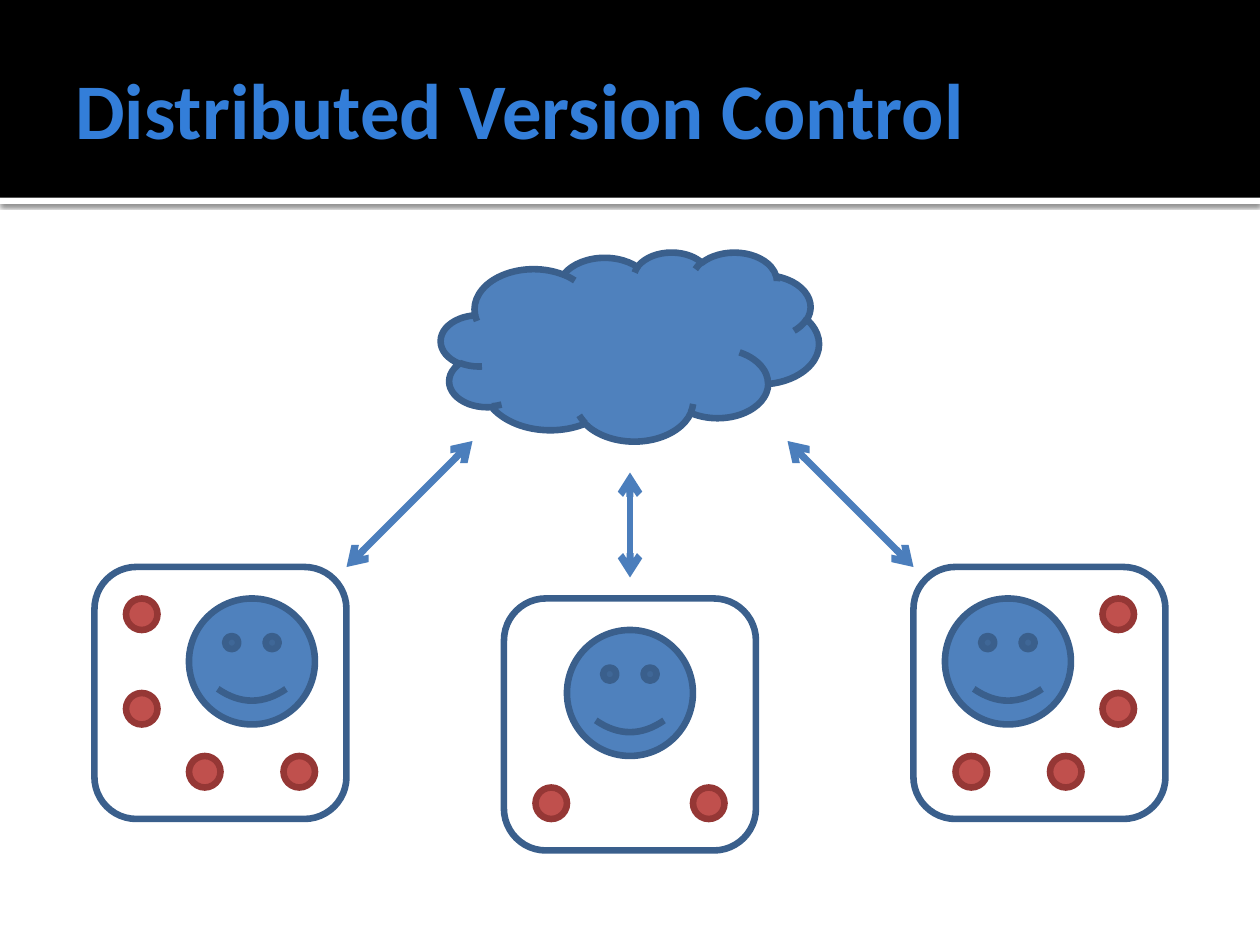
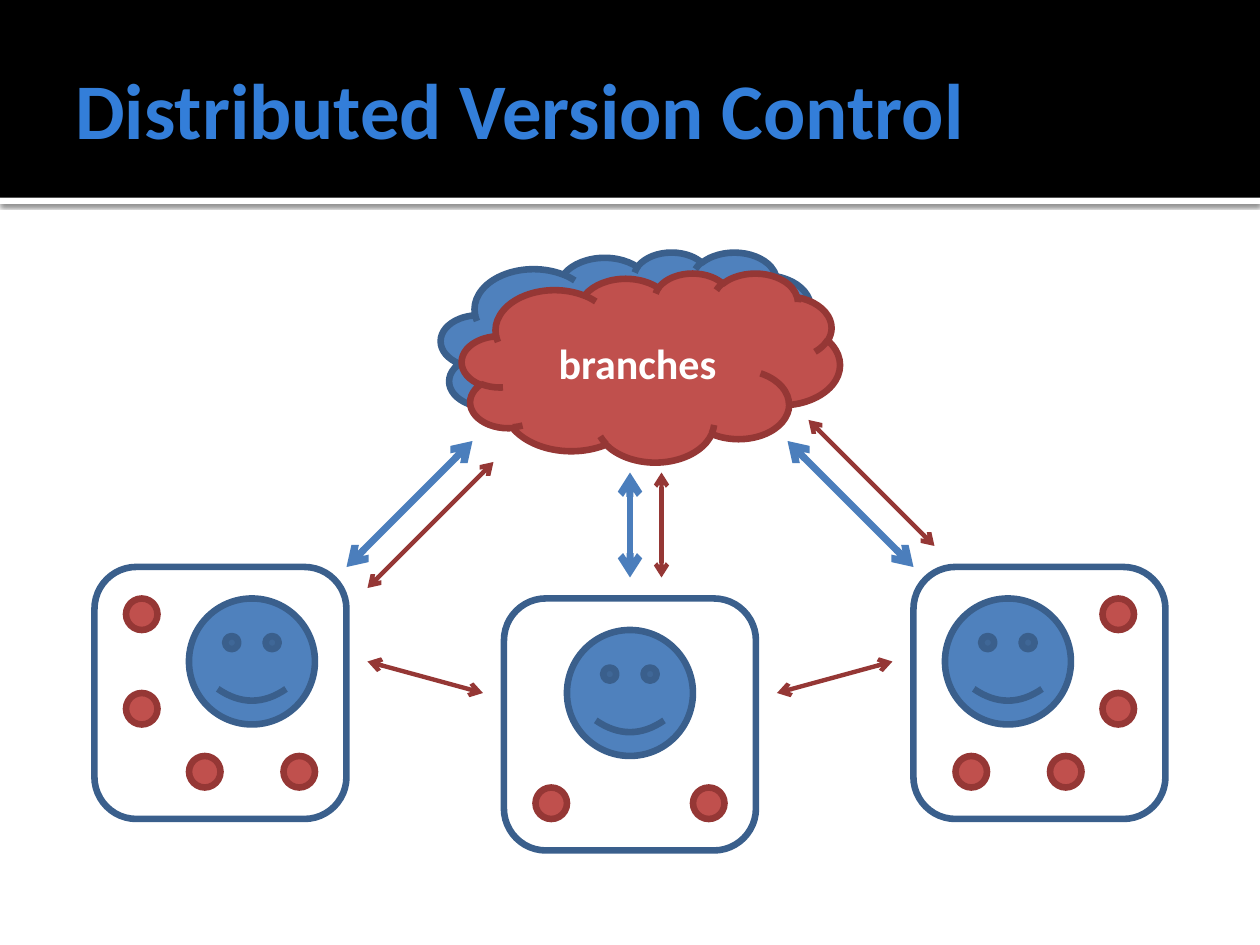
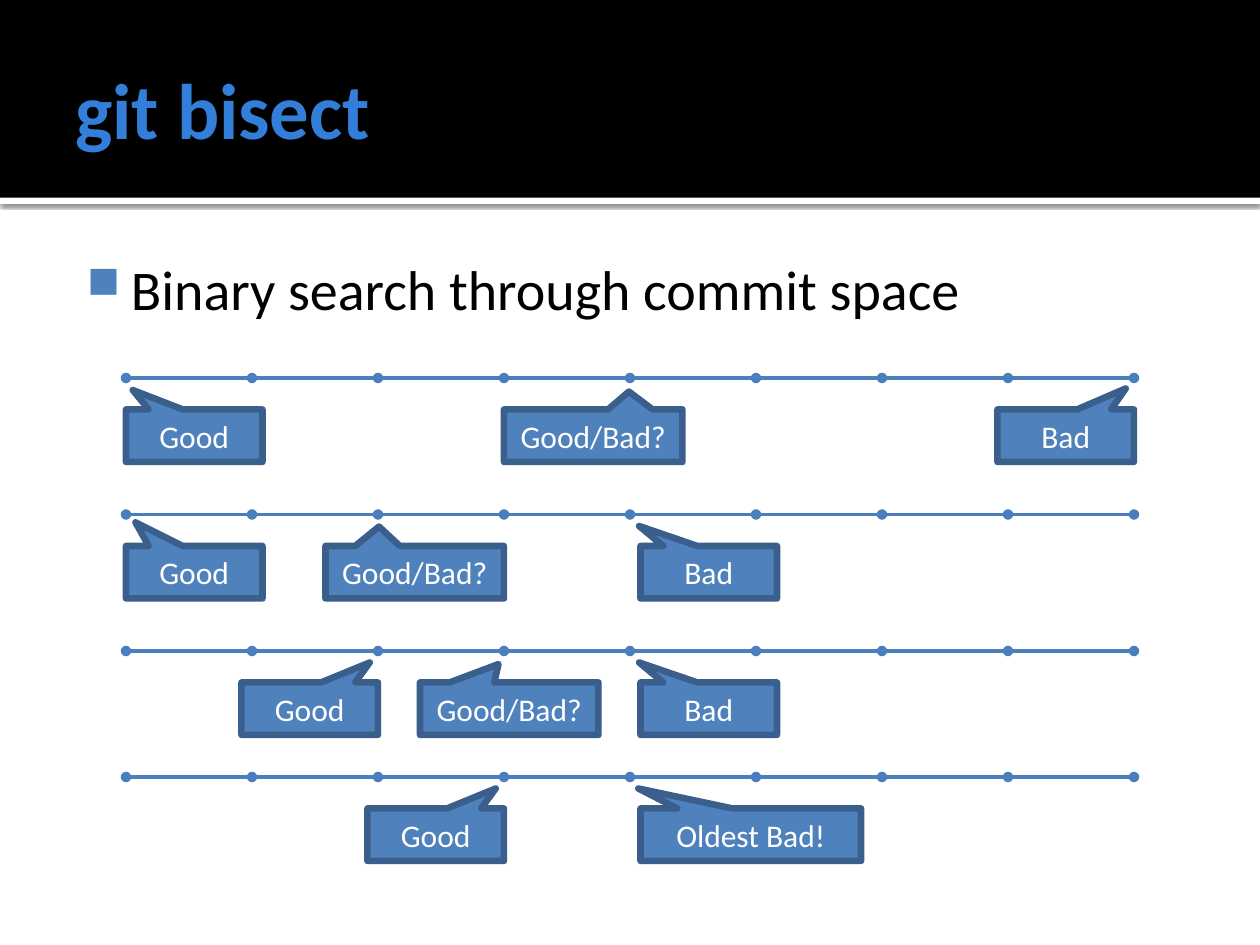
from pptx import Presentation
from pptx.dml.color import RGBColor
from pptx.enum import shapes, text
from pptx.oxml import parse_xml
from pptx.oxml.ns import nsdecls, qn
from pptx.util import Pt
from lxml import etree

FONT = "Calibri"
COLORS = {
    "black": "000000", "white": "FFFFFF", "title": "337ED9",
    "blue": "4F81BD", "blue_edge": "3A5F8C", "blue_line": "4B7EBC",
    "red": "C0504D", "red_edge": "953735",
}
EDGE = 3.78
SHAPE = shapes.MSO_SHAPE

# Each developer: box corner, then face and commits relative to it
DEVELOPERS = [
    {"box": (54, 324), "face": (54, 18),
     "commits": [(18, 18), (18, 72), (54, 108), (108, 108)]},
    {"box": (288, 342), "face": (36, 18),
     "commits": [(108, 108), (18, 108)]},
    {"box": (522, 324), "face": (18, 18),
     "commits": [(108, 18), (108, 72), (24, 108), (78, 108)]},
]
CLOUD = (252, 144)
BRANCH_SHIFT = 12
SERVER_ARROWS = [(198, 324, 270, 252), (522, 324, 450, 252), (360, 330, 360, 270)]
BRANCH_ARROWS = [
    (210, 336, 282, 264), (378, 330, 378, 270), (534, 312, 462, 240),
    (210, 378, 276, 396), (510, 378, 444, 396),
]

COMMIT_GAP, COMMIT_STEPS, FIRST_COMMIT = 72, 8, 72
LABEL_WIDTHS = {"Good": 78, "Bad": 78, "Good/Bad?": 102, "Oldest Bad!": 126}
# Each step: timeline height, then callouts (label, left, pointer x, pointer y)
BISECT_STEPS = [
    (216, [("Good", 72, -0.45, -0.87), ("Bad", 570, 0.44, -0.9),
           ("Good/Bad?", 288, 0.2, -0.84)]),
    (294, [("Good", 72, -0.43, -0.95), ("Bad", 366, -0.51, -0.88),
           ("Good/Bad?", 186, -0.2, -0.87)]),
    (372, [("Good", 138, 0.44, -0.88), ("Good/Bad?", 240, -0.06, -0.85),
           ("Bad", 366, -0.51, -0.88)]),
    (444, [("Good", 210, 0.44, -0.88), ("Oldest Bad!", 366, -0.51, -0.88)]),
]


def rgb(name):
    return RGBColor.from_string(COLORS[name])


def add_shape(s, kind, x, y, w, h, fill=None, edge=None):
    sp = s.shapes.add_shape(kind, Pt(x), Pt(y), Pt(w), Pt(h))
    sp.shadow.inherit = False
    if fill:
        sp.fill.solid()
        sp.fill.fore_color.rgb = rgb(fill)
    else:
        sp.fill.background()
    if edge:
        sp.line.color.rgb = rgb(edge)
        sp.line.width = Pt(EDGE)
    else:
        sp.line.fill.background()
    return sp


def write(sp, words, size, color, bold=False, align=text.PP_ALIGN.CENTER,
          anchor=text.MSO_ANCHOR.MIDDLE, insets=None):
    """Put one paragraph in a shape; insets are left, top, right, bottom."""
    tf = sp.text_frame
    tf.word_wrap = True
    tf.vertical_anchor = anchor
    if insets:
        tf.margin_left, tf.margin_top, tf.margin_right, tf.margin_bottom = map(Pt, insets)
    p = tf.paragraphs[0]
    p.text = words
    p.alignment = align
    p.font.name, p.font.size, p.font.bold = FONT, Pt(size), bold
    p.font.color.rgb = rgb(color)
    return p


def add_line(owner, x1, y1, x2, y2, color, width, head=None, tail=None):
    line = owner.shapes.add_connector(
        shapes.MSO_CONNECTOR.STRAIGHT, Pt(x1), Pt(y1), Pt(x2), Pt(y2))
    line.line.color.rgb = rgb(color)
    line.line.width = Pt(width)
    ln = line.line._get_or_add_ln()
    for tag, end in (("a:headEnd", head), ("a:tailEnd", tail)):
        if end:
            etree.SubElement(ln, qn(tag)).set("type", end)
    etree.SubElement(line._element.spPr, qn("a:effectLst"))


def add_slide(prs, title):
    """Start a slide with the shared title band and its shadowed lower edge."""
    s = prs.slides.add_slide(prs.slide_layouts[6])
    strip = add_shape(s, SHAPE.RECTANGLE, 0, 113, 720, 3.6, "white")
    effects = strip._element.spPr.find(qn("a:effectLst"))
    effects.append(parse_xml(
        f'<a:outerShdw {nsdecls("a")} blurRad="{Pt(2.5)}" dist="{Pt(0.8)}" dir="5400000">'
        f'<a:srgbClr val="{COLORS["black"]}"><a:alpha val="60000"/></a:srgbClr>'
        '</a:outerShdw>'))
    add_shape(s, SHAPE.RECTANGLE, 0, 0, 720, 113, "black")
    box = s.shapes.add_textbox(Pt(36), Pt(12.2), Pt(648), Pt(98.6))
    write(box, title, 45, "title", True, text.PP_ALIGN.LEFT, insets=(7.2, 3.6, 3.6, 3.6))
    return s


def add_cloud(s, x, y, color):
    return add_shape(s, SHAPE.CLOUD, x, y, 216, 108, color, color + "_edge")


def add_arrows(s, arrows, color, width):
    for ends in arrows:
        add_line(s, *ends, color, width, "arrow", "arrow")


def distributed_slide(prs):
    s = add_slide(prs, "Distributed Version Control")
    add_cloud(s, *CLOUD, "blue")
    add_arrows(s, SERVER_ARROWS, "blue_line", 4)
    for dev in DEVELOPERS:
        x, y = dev["box"]
        dx, dy = dev["face"]
        add_shape(s, SHAPE.SMILEY_FACE, x + dx, y + dy, 72, 72, "blue", "blue_edge")
        add_shape(s, SHAPE.ROUNDED_RECTANGLE, x, y, 144, 144, edge="blue_edge")
        for dx, dy in dev["commits"]:
            add_shape(s, SHAPE.OVAL, x + dx, y + dy, 18, 18, "red", "red_edge")
    return s


def branches_slide(prs):
    s = distributed_slide(prs)
    cloud = add_cloud(s, *(at + BRANCH_SHIFT for at in CLOUD), "red")
    write(cloud, "branches", 24, "white", True)
    add_arrows(s, BRANCH_ARROWS, "red_edge", 2.5)


def add_timeline(s, y):
    group = s.shapes.add_group_shape()
    for i in range(COMMIT_STEPS):
        x = FIRST_COMMIT + i * COMMIT_GAP
        last = i == COMMIT_STEPS - 1
        add_line(group, x, y, x + COMMIT_GAP, y, "blue_line", 2,
                 "oval", "oval" if last else None)


def add_bullet(p):
    pPr = p._p.get_or_add_pPr()
    pPr.set("marL", str(Pt(34.5)))
    pPr.set("indent", str(Pt(-25.2)))
    color = etree.Element(qn("a:buClr"))
    etree.SubElement(color, qn("a:srgbClr")).set("val", COLORS["blue"])
    size = etree.Element(qn("a:buSzPct"), val="80000")
    char = etree.Element(qn("a:buChar"), char="■")
    for i, part in enumerate((color, size, char)):
        pPr.insert(i, part)


def bisect_slide(prs):
    s = add_slide(prs, "git bisect")
    body = s.shapes.add_textbox(Pt(36), Pt(138), Pt(648), Pt(364))
    add_bullet(write(body, "Binary search through commit space", 32, "black",
                     align=text.PP_ALIGN.LEFT, anchor=text.MSO_ANCHOR.TOP,
                     insets=(4.3, 7.2, 7.2, 3.6)))
    for y, callouts in BISECT_STEPS:
        add_timeline(s, y)
        for label, x, *pointer in callouts:
            sp = add_shape(s, SHAPE.RECTANGULAR_CALLOUT, x, y + 18,
                           LABEL_WIDTHS[label], 30, "blue", "blue_edge")
            sp.adjustments[0], sp.adjustments[1] = pointer
            write(sp, label, 18, "white")


def main():
    prs = Presentation()
    prs.slide_width, prs.slide_height = Pt(720), Pt(540)
    distributed_slide(prs)
    branches_slide(prs)
    bisect_slide(prs)
    prs.save("out.pptx")


if __name__ == "__main__":
    main()
